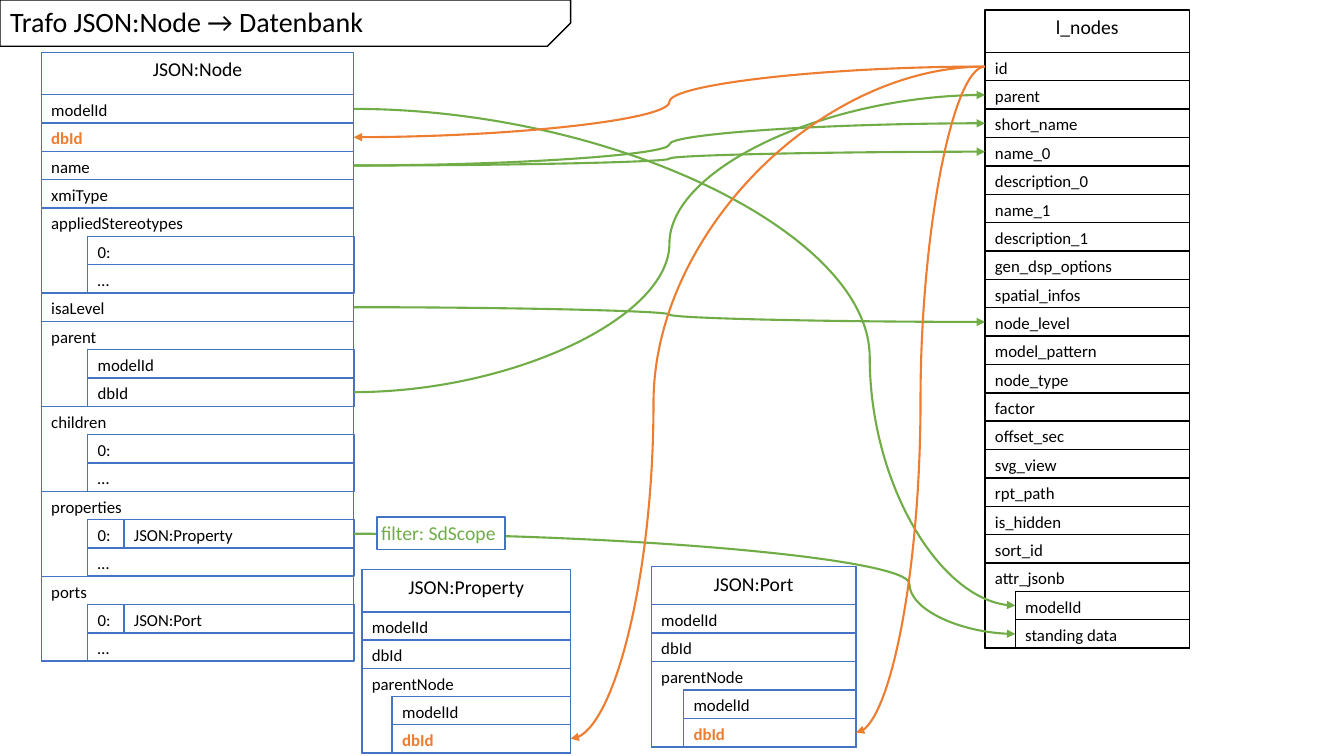
from pptx import Presentation
from pptx.dml.color import RGBColor
from pptx.enum.shapes import MSO_CONNECTOR as Link, MSO_SHAPE as Kind
from pptx.enum.text import MSO_ANCHOR as Anchor, PP_ALIGN as Align
from pptx.oxml.ns import qn
from pptx.util import Inches, Pt
from lxml.etree import SubElement

BLACK, WHITE, BLUE = "000000", "FFFFFF", "4472C4"
GREEN, ORANGE = "70AD47", "ED7D31"
LEFT, RIGHT = 1, 3  # connection sites of a rectangle

# Rows are (depth, text): 0 full width, 1 nested, 2 beside the nested row
NODE = [(0, "modelId"), (0, "dbId"), (0, "name"), (0, "xmiType"),
        (0, "appliedStereotypes"), (1, "0:"), (1, "…"), (0, "isaLevel"),
        (0, "parent"), (1, "modelId"), (1, "dbId"),
        (0, "children"), (1, "0:"), (1, "…"),
        (0, "properties"), (1, "0:"), (2, "JSON:Property"), (1, "…"),
        (0, "ports"), (1, "0:"), (2, "JSON:Port"), (1, "…")]
CHILD = [(0, "modelId"), (0, "dbId"),
         (0, "parentNode"), (1, "modelId"), (1, "dbId")]
COLUMNS = ["id", "parent", "short_name", "name_0", "description_0", "name_1",
           "description_1", "gen_dsp_options", "spatial_infos", "node_level",
           "model_pattern", "node_type", "factor", "offset_sec", "svg_view",
           "rpt_path", "is_hidden", "sort_id", "attr_jsonb"]
TABLE = [(0, name) for name in COLUMNS] + [(1, "modelId"), (1, "standing data")]


def color(text):
    return RGBColor.from_string(text)


def style(frame, size, ink, align=Align.LEFT, bold=False):
    for para in frame.paragraphs:
        para.alignment = align
        for run in para.runs:
            font = run.font
            font.name, font.size, font.bold = "Calibri", Pt(size), bold
            font.color.rgb = color(ink)


def box(shapes, area, edge, kind=Kind.RECTANGLE):
    shape = shapes.add_shape(kind, *[Inches(v) for v in area])
    shape.shadow.inherit = False
    shape.fill.solid()
    shape.fill.fore_color.rgb = color(WHITE)
    shape.line.color.rgb = color(edge)
    shape.line.width = Pt(1)
    return shape


def cell(shapes, area, edge, text, size=12, **look):
    shape = box(shapes, area, edge)
    frame = shape.text_frame
    frame.text = text
    frame.vertical_anchor = Anchor.TOP
    style(frame, size, **look)
    return shape


def record(slide, title, area, head, indent, rows, edge, hot=""):
    """Draw a titled list of fields; return its cells by dotted name."""
    left, top, width, height = area
    shapes = slide.shapes.add_group_shape().shapes
    cell(shapes, area, edge, title, 14, ink=BLACK, align=Align.CENTER)
    lines = sum(depth < 2 for depth, _ in rows)
    pitch = (height - head) / lines
    shifts = [0, indent, indent + 0.36]
    cells, line, owner = {}, -1, ""
    for i, (depth, text) in enumerate(rows):
        line += depth < 2
        span, key = 1, f"{owner}.{text}"
        if depth == 0:
            owner = key = text
            for level, _ in rows[i + 1:]:
                if level == 0:
                    break
                span += level == 1
        spot = (left + shifts[depth], top + head + line * pitch,
                width - shifts[depth], span * pitch)
        marked = key == hot
        cells[key] = cell(shapes, spot, edge, text,
                          ink=ORANGE if marked else BLACK, bold=marked)
    return cells


def arrow(slide, start, site, end, goal, ink, bend=None):
    line = slide.shapes.add_connector(Link.CURVE, 0, 0, 0, 0)
    line.begin_connect(start, site)
    line.end_connect(end, goal)
    line.line.color.rgb = color(ink)
    line.line.width = Pt(1.5)
    props = line._element.spPr
    SubElement(props.find(qn("a:ln")), qn("a:tailEnd"), type="triangle")
    SubElement(props, qn("a:effectLst"))
    if bend:
        guides = props.find(qn("a:prstGeom")).find(qn("a:avLst"))
        SubElement(guides, qn("a:gd"), name="adj1",
                   fmla=f"val {round(bend * 100000)}")


def heading(slide):
    area = (0, 0, 5.66, 0.46)
    banner = box(slide.shapes, area, BLACK, Kind.SNIP_1_RECTANGLE)
    banner.adjustments[0] = 0.5
    banner._element.spPr.find(qn("a:xfrm")).set("flipV", "1")
    title = slide.shapes.title
    title.left, title.top, title.width, title.height = map(Inches, area)
    frame = title.text_frame
    frame.text = "Trafo JSON:Node → Datenbank"
    frame.vertical_anchor = Anchor.MIDDLE
    frame.paragraphs[0].line_spacing = 0.9
    style(frame, 20, BLACK)
    slide.shapes._spTree.append(title._element)


def main():
    deck = Presentation()
    deck.slide_width, deck.slide_height = Inches(13.33), Inches(7.5)
    slide = deck.slides.add_slide(deck.slide_layouts[5])
    heading(slide)

    # Database table and main JSON object
    table = record(slide, "l_nodes", (9.77, 0.1, 2.03, 6.33), 0.42, 0.3,
                   TABLE, BLACK)
    node = record(slide, "JSON:Node", (0.41, 0.52, 3.1, 6.04), 0.42, 0.46,
                  NODE, BLUE, "dbId")

    # Fields written to the database
    for field, column, bend in [
            ("modelId", "attr_jsonb.modelId", 0.78),
            ("name", "short_name", None),
            ("name", "name_0", None),
            ("isaLevel", "node_level", None),
            ("parent.dbId", "parent", None),
            ("properties.JSON:Property", "attr_jsonb.standing data", 0.84)]:
        arrow(slide, node[field], RIGHT, table[column], LEFT, GREEN, bend)
    note = cell(slide.shapes, (3.74, 5.13, 1.27, 0.32), BLUE,
                "filter: SdScope", 14, ink=GREEN)
    frame = note.text_frame
    frame.margin_left = frame.margin_right = Inches(0.04)
    frame.margin_top = frame.margin_bottom = Inches(0.04)

    # Child objects and the id handed back to each object
    arrow(slide, table["id"], LEFT, node["dbId"], RIGHT, ORANGE)
    for title, area, head, indent, bend in [
            ("JSON:Port", (6.46, 5.62, 2.03, 1.79), 0.38, 0.32, None),
            ("JSON:Property", (3.59, 5.65, 2.07, 1.82), 0.42, 0.3, 0.8)]:
        child = record(slide, title, area, head, indent, CHILD, BLUE,
                       "parentNode.dbId")
        arrow(slide, table["id"], LEFT, child["parentNode.dbId"], RIGHT,
              ORANGE, bend)

    deck.save("out.pptx")


main()
